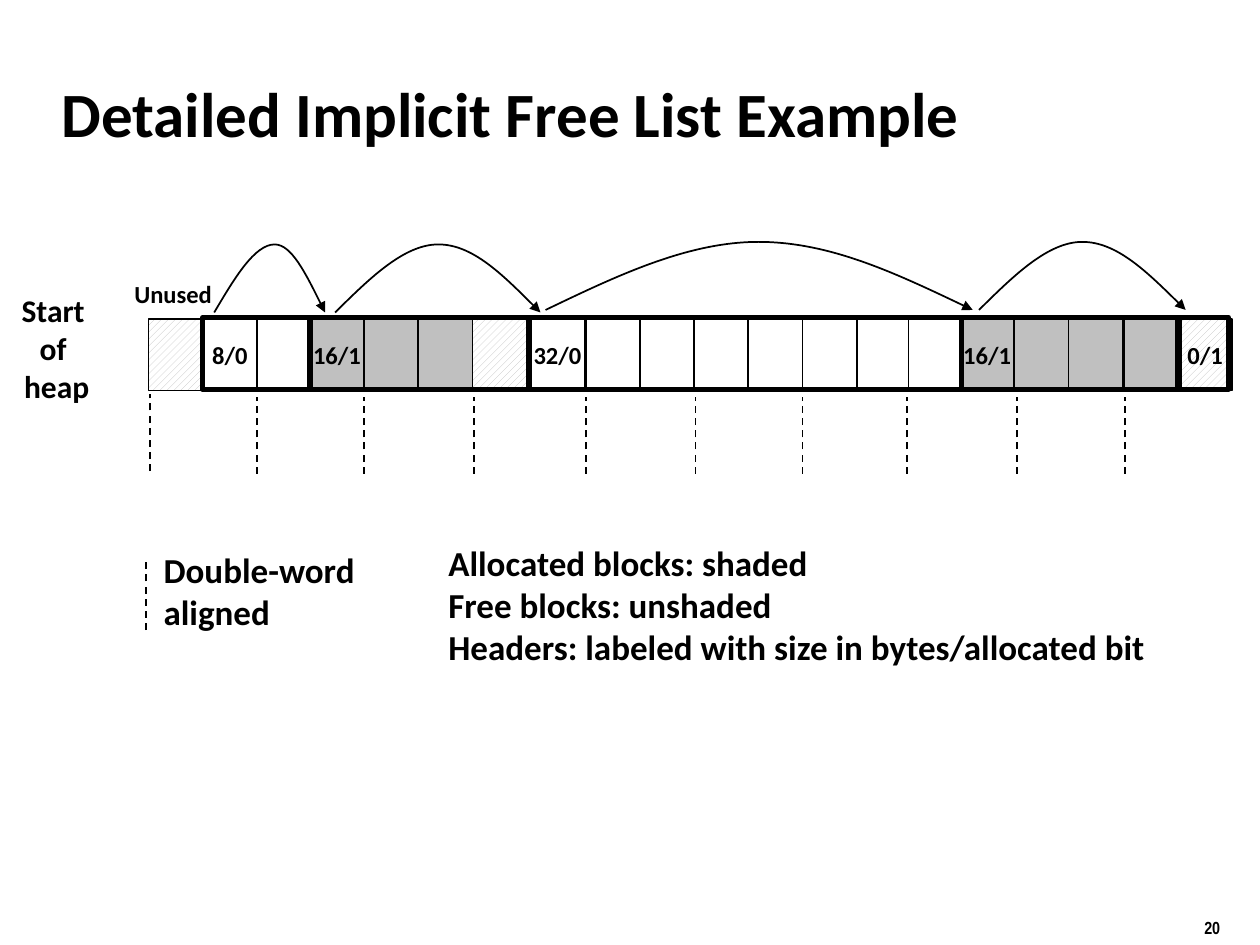
"""Build the slide on a detailed implicit free list example."""
from lxml import etree
from pptx import Presentation
from pptx.dml.color import RGBColor
from pptx.enum import dml, shapes, text
from pptx.oxml import ns
from pptx.util import Inches, Pt

BLACK = RGBColor(0, 0, 0)
WHITE = RGBColor(255, 255, 255)
GRAY = RGBColor(0xC0, 0xC0, 0xC0)
RECT = shapes.MSO_SHAPE.RECTANGLE
CELL_W, CELL_H, CELL_TOP = 0.43, 0.57, 2.53


def write(sp, content, size=14, font="Calibri", align=text.PP_ALIGN.LEFT,
          anchor=text.MSO_ANCHOR.MIDDLE, wrap=False):
    tf = sp.text_frame
    tf.word_wrap = wrap
    tf.vertical_anchor = anchor
    for i, line in enumerate(content.split("\n")):
        p = tf.paragraphs[0] if i == 0 else tf.add_paragraph()
        p.alignment = align
        r = p.add_run()
        r.text = line
        r.font.name, r.font.size, r.font.bold = font, Pt(size), True
        r.font.color.rgb = BLACK


def outline(sp, width=1, dash=None, arrow=False):
    sp.line.color.rgb = BLACK
    sp.line.width = Pt(width)
    if dash:
        sp.line.dash_style = dash
    if arrow:
        ln = sp.line._get_or_add_ln()
        etree.SubElement(ln, ns.qn("a:tailEnd"), type="triangle")
    if isinstance(sp.shape_type, int) and sp.shape_type == shapes.MSO_SHAPE_TYPE.LINE:
        etree.SubElement(sp._element.spPr, ns.qn("a:effectLst"))
    else:
        sp.shadow.inherit = False


prs = Presentation()
prs.slide_width, prs.slide_height = Inches(10), Inches(7.5)
s = prs.slides.add_slide(prs.slide_layouts[6])

CENTER, TOP = text.PP_ALIGN.CENTER, text.MSO_ANCHOR.TOP
labels = [
    (9.46, 7.23, 0.74, 0.26, "20", dict(size=10, font="Arial Narrow", anchor=TOP)),
    (0.39, 0.48, 8.3, 0.83, "Detailed Implicit Free List Example", dict(size=36, wrap=True)),
    (0.01, 2.26, 0.88, 1, "Start \nof \nheap", dict(size=18, align=CENTER)),
    (0.91, 2.17, 0.93, 0.33, "Unused", dict(align=CENTER)),
    (1.2, 4.31, 2.04, 0.76, "Double-word\naligned", dict(size=20, wrap=True)),
    (3.46, 4.25, 6.83, 1.1,
     "Allocated blocks: shaded\nFree blocks: unshaded\n"
     "Headers: labeled with size in bytes/allocated bit", dict(size=20, anchor=TOP)),
]
for left, top, width, height, content, fmt in labels:
    sp = s.shapes.add_textbox(Inches(left), Inches(top), Inches(width), Inches(height))
    write(sp, content, **fmt)

# Each run of cells: first left edge, number of cells, fill, header label
cell_runs = [
    (1.18, 1, "hatch", ""),
    (1.61, 2, WHITE, "8/0"),
    (2.46, 3, GRAY, "16/1"),
    (3.75, 1, "hatch", ""),
    (4.21, 1, WHITE, "32/0"),
    (4.65, 6, WHITE, ""),
    (7.21, 1, WHITE, ""),
    (7.62, 3, GRAY, "16/1"),
    (8.92, 1, GRAY, ""),
    (9.35, 1, "hatch", "0/1"),
]
for left, count, fill, header in cell_runs:
    for i in range(count):
        sp = s.shapes.add_shape(RECT, Inches(left + i * CELL_W), Inches(CELL_TOP),
                                Inches(CELL_W), Inches(CELL_H))
        if fill == "hatch":
            sp.fill.patterned()
            sp.fill.pattern = dml.MSO_PATTERN.WIDE_UPWARD_DIAGONAL
            sp.fill.fore_color.rgb, sp.fill.back_color.rgb = GRAY, WHITE
        else:
            sp.fill.solid()
            sp.fill.fore_color.rgb = fill
        outline(sp)
        if header and i == 0:
            write(sp, header, align=CENTER)

for left, width in [(1.61, 0.85), (2.46, 1.74), (4.2, 3.43), (7.63, 1.73), (9.35, 0.4)]:
    sp = s.shapes.add_shape(RECT, Inches(left), Inches(2.52), Inches(width), Inches(CELL_H))
    sp.fill.background()
    outline(sp, width=3)

ticks = [(x, 3.76, 3.15) for x in (2.04, 2.89, 3.76, 4.65, 5.52, 6.37, 7.2, 8.07, 8.93)]
for x, bottom, top in ticks + [(1.19, 3.74, 3.13), (1.16, 5, 4.45)]:
    sp = s.shapes.add_connector(shapes.MSO_CONNECTOR.STRAIGHT,
                                Inches(x), Inches(bottom), Inches(x), Inches(top))
    outline(sp, dash=dml.MSO_LINE.DASH)

arcs = [(1.7, 2.18, 2.58, 1.94), (2.66, 3.48, 4.29, 1.94),
        (4.33, 6.02, 7.72, 1.92), (7.77, 8.59, 9.41, 1.92)]
for start, peak, end, top in arcs:
    rise, fall = (peak - start) / 3, (end - peak) / 3
    xs = [start + rise, peak - rise, peak, peak + fall, end - fall, end]
    ys = [top + 0.27, top, top, top, top + 0.27, top + 0.54]
    fb = s.shapes.build_freeform(Inches(start), Inches(top + 0.54))
    fb.add_line_segments([(Inches(x), Inches(y)) for x, y in zip(xs, ys)], close=False)
    sp = fb.convert_to_shape()
    segments = list(sp._element.iter(ns.qn("a:lnTo")))
    outline_el = segments[0].getparent()
    for i in (0, 3):
        curve = etree.SubElement(outline_el, ns.qn("a:cubicBezTo"))
        for seg in segments[i:i + 3]:
            curve.append(seg[0])
            outline_el.remove(seg)
    sp.fill.background()
    outline(sp, arrow=True)

prs.save("out.pptx")
